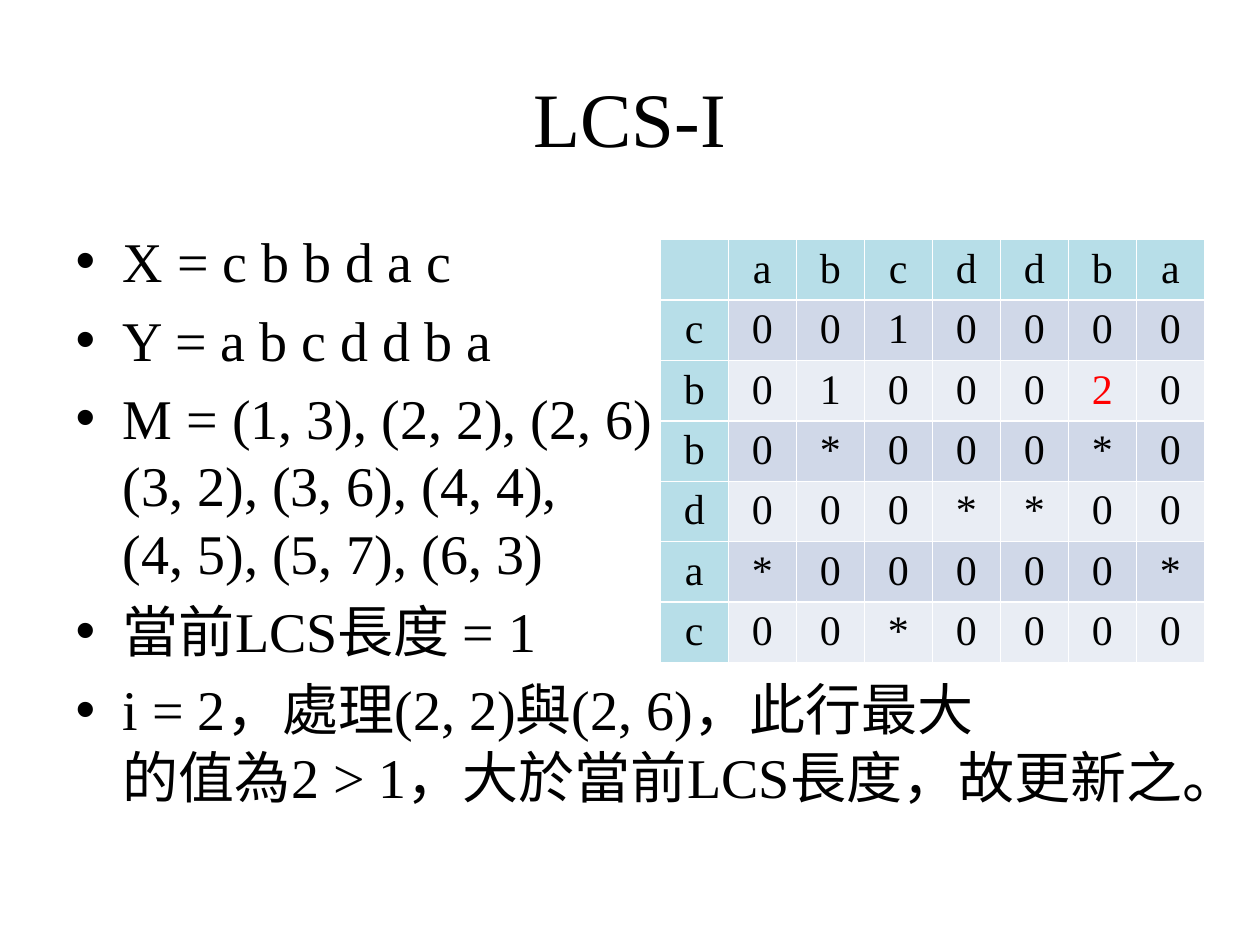
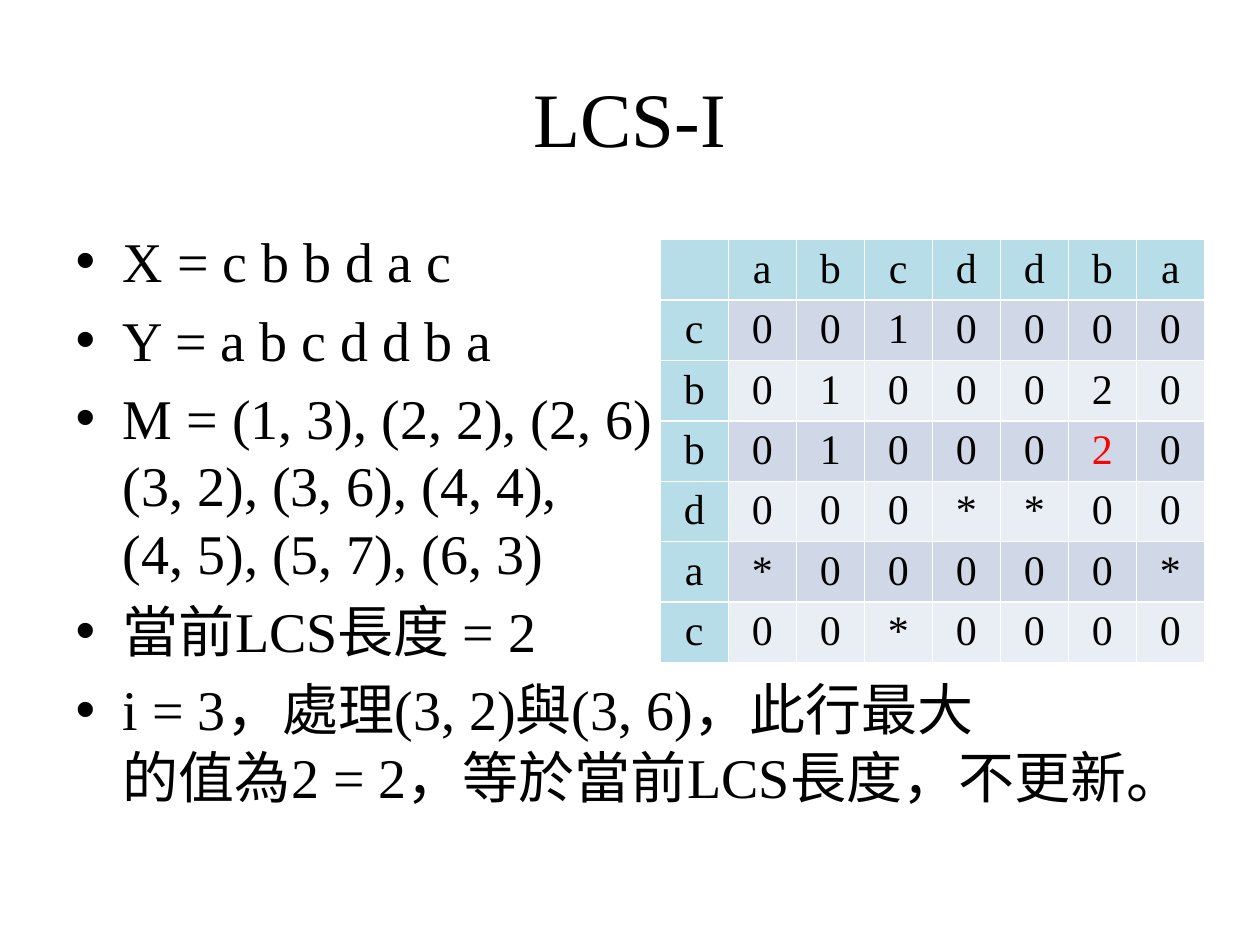
"""Two steps of the LCS-I walkthrough: a bulleted explanation beside the match table."""
from pptx import Presentation
from pptx.dml.color import RGBColor
from pptx.enum.text import MSO_AUTO_SIZE as AutoSize, PP_ALIGN as Align
from pptx.util import Inches, Pt

COLORS = {"text": "000000", "current": "FF0000", "heading": "B7DEE8",
          "odd_row": "D0D8E8", "even_row": "E9EDF4"}
FONT = "Times New Roman"
X, Y = "cbbdac", "abcddba"
MATCHES = "M = (1, 3), (2, 2), (2, 6)\n(3, 2), (3, 6), (4, 4),\n(4, 5), (5, 7), (6, 3)"
SOLVED_ROWS = ["0010000", "0100020", "0100020"]
CURRENT_COLUMN = 6
COLUMN, ROW = Inches(0.54), Inches(0.48)

STEPS = [
    (2, "當前LCS長度 = 1",
     "i = 2，處理(2, 2)與(2, 6)，此行最大\n的值為2 > 1，大於當前LCS長度，故更新之。"),
    (3, "當前LCS長度 = 2",
     "i = 3，處理(3, 2)與(3, 6)，此行最大\n的值為2 = 2，等於當前LCS長度，不更新。"),
]


def write(para, text, size, color="text", align=None):
    para.text = text
    para.alignment = align
    for span in para.runs:
        span.font.name = FONT
        span.font.size = Pt(size)
        span.font.bold = False
        span.font.color.rgb = RGBColor.from_string(COLORS[color])


deck = Presentation()
deck.slide_width, deck.slide_height = Inches(10), Inches(7.5)
width, height = deck.slide_width, deck.slide_height

for step, length, explanation in STEPS:
    page = deck.slides.add_slide(deck.slide_layouts[1])
    title, body = page.placeholders
    for box, top, share in ((title, 0.04, 1 / 6), (body, 7 / 30, 0.66)):
        box.left, box.width = int(width * 0.05), int(width * 0.9)
        box.top, box.height = int(height * top), int(height * share)
        box.text_frame.auto_size = AutoSize.NONE
    write(title.text_frame.paragraphs[0], "LCS-I", 44, align=Align.CENTER)

    bullets = ["X = " + " ".join(X), "Y = " + " ".join(Y), MATCHES, length, explanation]
    for index, bullet in enumerate(bullets):
        para = body.text_frame.add_paragraph() if index else body.text_frame.paragraphs[0]
        write(para, bullet, 32)
    body.text_frame.paragraphs[0].space_before = Pt(0)

    pending_rows = ["".join("*" if x == y else "0" for y in Y) for x in X[step:]]
    rows = [" " + Y] + [x + values for x, values in zip(X, SOLVED_ROWS[:step] + pending_rows)]
    grid = page.shapes.add_table(len(rows), len(rows[0]), Inches(5.24), Inches(1.9),
                                 COLUMN * len(rows[0]), ROW * len(rows)).table
    for column in grid.columns:
        column.width = COLUMN
    for row, values in enumerate(rows):
        grid.rows[row].height = ROW
        for column, value in enumerate(values):
            cell = grid.cell(row, column)
            shade = "odd_row" if row % 2 else "even_row"
            if row == 0 or column == 0:
                shade = "heading"
            cell.fill.solid()
            cell.fill.fore_color.rgb = RGBColor.from_string(COLORS[shade])
            is_current = (row, column) == (step, CURRENT_COLUMN)
            write(cell.text_frame.paragraphs[0], value.strip(), 24,
                  "current" if is_current else "text", Align.CENTER)

deck.save("out.pptx")
